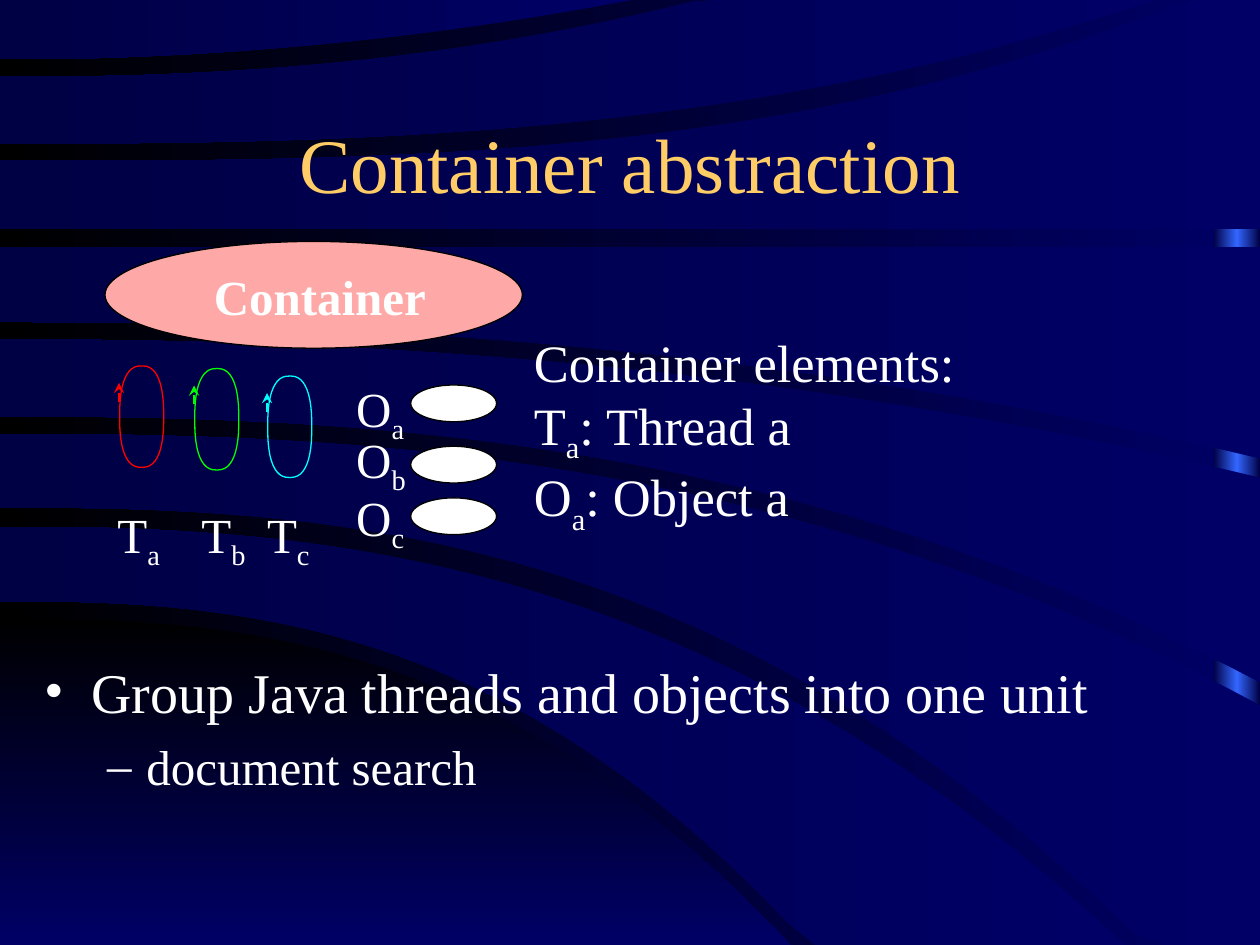
from copy import deepcopy
from math import copysign, cos, pi, sin
from lxml import etree
from pptx import Presentation
from pptx.dml.color import RGBColor
from pptx.enum.shapes import MSO_CONNECTOR, MSO_SHAPE
from pptx.enum.text import MSO_ANCHOR, MSO_AUTO_SIZE, PP_ALIGN
from pptx.oxml.ns import qn
from pptx.util import Pt

OVAL, RECT = MSO_SHAPE.OVAL, MSO_SHAPE.RECTANGLE
STRAIGHT = MSO_CONNECTOR.STRAIGHT
CENTER, LEFT = PP_ALIGN.CENTER, PP_ALIGN.LEFT
TOP, MIDDLE = MSO_ANCHOR.TOP, MSO_ANCHOR.MIDDLE
NO_FIT = MSO_AUTO_SIZE.NONE

FONT = "Times New Roman"
WHITE = RGBColor(0xFF, 0xFF, 0xFF)
BLACK = RGBColor(0, 0, 0)
GOLD = RGBColor(0xFF, 0xCC, 0x66)
PINK = RGBColor(0xFE, 0xA8, 0xA8)
RED = RGBColor(0xFF, 0, 0)
GREEN = RGBColor(0, 0xFF, 0)
CYAN = RGBColor(0, 0xFF, 0xFF)
NAVY = RGBColor(0, 0, 0x66)
DARK_NAVY = RGBColor(0, 0, 0x44)
BLUE = RGBColor(0x33, 0x66, 0xFF)

W, H = 720, 540
TITLE = "Container abstraction"
BULLETS = [("Group Java threads and objects into one unit", 0, 32, 8),
           ("document search", 1, 28, 7)]
LEGEND = ["Container elements:", "T_a_: Thread a", "O_a_: Object a"]
THREADS = [("T_a", 60, 68, 206.6, RED), ("T_b", 108, 110.9, 208.1, GREEN),
           ("T_c", 145.5, 152.6, 212.4, CYAN)]
OBJECTS = [("O_a", 212.5, 220), ("O_b", 242, 255), ("O_c", 275, 284.5)]

# Each edge: start y, end x, end y, power of the curve
CORNER = ((353.5, 452, H, 2.6), (H, 452, H, 1))
BANDS = [
    ((301, 643, H, 2.5), (343.5, 462, H, 2.6)),
    ((248, W, 403, 2.5), (290, 655, H, 2.6)),
    ((194, W, 273, 2.2), (238, W, 390, 2.5)),
    ((141, W, 141, 1), (184, W, 262, 2.2)),
    ((92, 679, 0, 3), (131, W, 131, 1)),
    ((44, 400, 0, 2.3), (82, 660, 0, 2.7)),
    ((0, 361, 0, 1), (34, 361, 0, 2)),
]


def gradient(fill, angle, *colors):
    fill.gradient()
    fill.gradient_angle = angle
    first = fill.gradient_stops[0]._gs
    for _ in colors[2:]:
        first.addnext(deepcopy(first))
    for i, (stop, color) in enumerate(zip(fill.gradient_stops, colors)):
        stop.color.rgb = color
        stop.position = i / (len(colors) - 1)


def outline(points, close):
    pts = [(Pt(x), Pt(y)) for x, y in points]
    fb = s.shapes.build_freeform(*pts[0])
    fb.add_line_segments(pts[1:], close=close)
    sp = fb.convert_to_shape()
    sp.shadow.inherit = False
    return sp


def edge_points(edge, right, steps=40):
    y0, end_x, end_y, power = edge
    xs = [right * k / steps for k in range(steps + 1)]
    return [(x, min(H, max(0, y0 + (end_y - y0) * (x / end_x)**power)))
            for x in xs]


def add_band(edges, angle, *colors):
    right = max(e[1] for e in edges)
    upper, lower = (edge_points(e, right) for e in edges)
    sp = outline(upper + lower[::-1], True)
    gradient(sp.fill, angle, *colors)
    to_layout(sp)


def to_layout(sp):
    sp.line.fill.background()
    tree = layout.shapes.element
    sp.element.nvSpPr.cNvPr.set("id", str(100 + len(tree)))
    tree.append(sp.element)


def oval(x, y, w, h, color):
    sp = s.shapes.add_shape(OVAL, Pt(x), Pt(y), Pt(w), Pt(h))
    sp.shadow.inherit = False
    sp.fill.solid()
    sp.fill.fore_color.rgb = color
    sp.line.color.rgb = BLACK
    sp.line.width = Pt(0.75)


def style(p, size, color=WHITE, bold=False):
    for r in p.runs:
        r.font.name, r.font.size, r.font.bold = FONT, Pt(size), bold
        r.font.color.rgb = color


def label(x, y, w, h, lines, size=28, align=LEFT, bold=False):
    tf = s.shapes.add_textbox(Pt(x), Pt(y), Pt(w), Pt(h)).text_frame
    tf.word_wrap = True
    for i, line in enumerate(lines):
        p = tf.paragraphs[0] if i == 0 else tf.add_paragraph()
        p.alignment = align
        for j, part in enumerate(line.split("_")):
            r = p.add_run()
            r.text = part
            if j % 2:
                r.font._element.set("baseline", "-25000")
        style(p, size, bold=bold)


def rounded(v):
    return copysign(abs(v)**0.8, v)


def loop_points(x, y, steps=48):
    angles = [-0.3 + (2 * pi + 0.2) * k / steps for k in range(steps + 1)]
    return [(x + 13 - 12.6 * rounded(cos(a)), y + 31.5 - 29 * rounded(sin(a)))
            for a in angles]


def thread_loop(x, y, color):
    sp = outline(loop_points(x, y), False)
    sp.fill.background()
    cx = s.shapes.add_connector(STRAIGHT, Pt(x), Pt(y + 23), Pt(x), Pt(y + 12.2))
    for shape in (sp, cx):
        shape.line.color.rgb = color
        shape.line.width = Pt(0.75)
    etree.SubElement(cx.line._get_or_add_ln(), qn("a:tailEnd"), type="stealth")
    etree.SubElement(cx._element.spPr, qn("a:effectLst"))


def place(sp, x, y, w, h, anchor):
    sp.left, sp.top, sp.width, sp.height = Pt(x), Pt(y), Pt(w), Pt(h)
    tf = sp.text_frame
    tf.word_wrap, tf.auto_size, tf.vertical_anchor = True, NO_FIT, anchor
    return tf


prs = Presentation()
prs.slide_width, prs.slide_height = Pt(W), Pt(H)
layout = prs.slide_layouts[1]
s = prs.slides.add_slide(layout)

gradient(layout.background.fill, 180, NAVY, BLACK)
strip = s.shapes.add_shape(RECT, Pt(693.5), 0, Pt(26.5), Pt(H))
strip.shadow.inherit = False
gradient(strip.fill, 180, DARK_NAVY, BLUE, DARK_NAVY)
to_layout(strip)
add_band(CORNER, 270, BLACK, NAVY)
for edges in BANDS:
    add_band(edges, 180, NAVY, DARK_NAVY)

tf = place(s.shapes.title, 54, 48, 612, 90, MIDDLE)
tf.text = TITLE
tf.paragraphs[0].alignment = CENTER
style(tf.paragraphs[0], 44, GOLD)

tf = place(s.placeholders[1], 18, 372, 612, 132, TOP)
tf.text = "\n".join(b[0] for b in BULLETS)
for p, (_, level, size, before) in zip(tf.paragraphs, BULLETS):
    p.level, p.space_before = level, Pt(before)
    style(p, size)
    etree.SubElement(p._p.get_or_add_pPr(), qn("a:buFont"), typeface=FONT)

oval(60, 138, 238.5, 61, PINK)
label(67.5, 149, 230.5, 37, ["Container"], align=CENTER, bold=True)
for name, label_x, x, y, color in THREADS:
    thread_loop(x, y, color)
    label(label_x, 284.5, 44.6, 42.5, [name])
for name, label_y, y in OBJECTS:
    oval(234.7, y, 49, 21, WHITE)
    label(196.5, label_y, 54.7, 42.5, [name])
label(298, 185, 266.5, 99.5, LEGEND, size=30)

prs.save("out.pptx")
